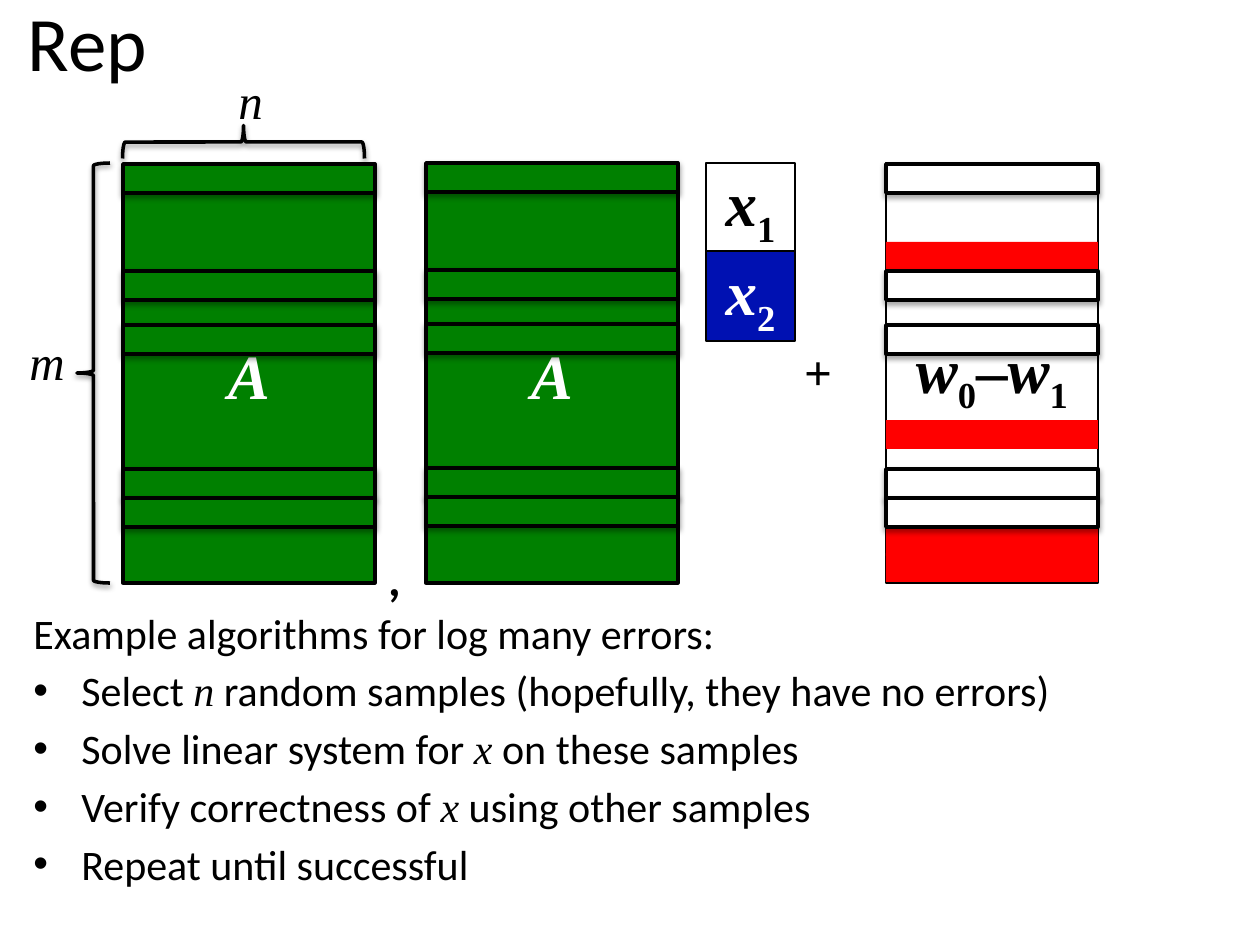
from lxml import etree
from pptx import Presentation
from pptx.dml.color import RGBColor
from pptx.enum.shapes import MSO_SHAPE
from pptx.enum.text import MSO_ANCHOR, PP_ALIGN
from pptx.oxml import parse_xml
from pptx.oxml.ns import nsdecls, qn
from pptx.util import Emu, Pt

RECT, BRACE = MSO_SHAPE.RECTANGLE, MSO_SHAPE.LEFT_BRACE
MIDDLE, TOP = MSO_ANCHOR.MIDDLE, MSO_ANCHOR.TOP
LEFT, CENTER = PP_ALIGN.LEFT, PP_ALIGN.CENTER
SCALE = 914400 // 126
SANS, SERIF = "Calibri", "Times New Roman"
BLACK, WHITE, GREEN, BLUE, RED = "000000", "FFFFFF", "008000", "0011B2", "FF0000"

BOLD, ITALIC, SUB = "b", "i", "s"
MATRICES = [(123, 165, 252, 418), (426, 165, 252, 418)]
VECTOR = [
    ((706, 163, 89, 88), None, BLACK, "1"),
    ((706, 251, 89, 90), BLUE, WHITE, "2"),
]
NOISE_BOX = (886, 163, 212, 420)
NOISE = [("w", "bi"), ("0", "bs"), ("–", "b"), ("w", "bi"), ("1", "bs")]
ERROR_TOPS = [553, 527, 242, 420]
SAMPLE_TOPS = [164, 271, 325, 469, 498]
SAMPLE_COLUMNS = [(886, 212, 0, WHITE), (426, 252, -1, GREEN), (123, 252, 0, GREEN)]
STRIP = 29
SIGNS = [(",", (375, 541, 39, 72), SANS), ("+", (791, 335, 54, 72), SERIF)]
DIMENSIONS = [
    ("m", (77, 163, 33, 420), 0, (8, 325, 78, 72)),
    ("n", (227, 21, 33, 242), 90, (217, 64, 67, 72)),
]
TITLE = "Rep"
LEAD = "Example algorithms for log many errors:"
STEPS = [
    [("Select ", ""), ("n", ITALIC), (" random samples (hopefully, they have no errors)", "")],
    [("Solve linear system for ", ""), ("x", ITALIC), (" on these samples", "")],
    [("Verify correctness of ", ""), ("x", ITALIC), (" using other samples", "")],
    [("Repeat until successful", "")],
]


def px(n):
    return Emu(n * SCALE)


def rgb(color):
    return RGBColor.from_string(color)


def add_runs(p, runs, size, color, font=SERIF, align=CENTER):
    p.alignment = align
    for text, style in runs:
        r = p.add_run()
        r.text = text
        f = r.font
        f.size, f.name = Pt(size), SERIF if ITALIC in style else font
        f.bold, f.italic = BOLD in style, ITALIC in style
        f.color.rgb = rgb(color)
        if SUB in style:
            r._r.get_or_add_rPr().set("baseline", "-25000")


def add_shadow(s, alpha, dist):
    s._element.spPr.append(parse_xml(
        f'<a:effectLst {nsdecls("a")}><a:outerShdw blurRad="{Pt(3.1)}" dist="{Pt(dist)}" '
        f'dir="5400000" rotWithShape="0"><a:srgbClr val="{BLACK}">'
        f'<a:alpha val="{alpha * 1000}"/></a:srgbClr></a:outerShdw></a:effectLst>'))


def add_shape(shapes, box, fill=None, line=0, kind=RECT, shadow=None):
    s = shapes.add_shape(kind, *map(px, box))
    if fill:
        s.fill.solid()
        s.fill.fore_color.rgb = rgb(fill)
    else:
        s.fill.background()
    if line:
        s.line.color.rgb = rgb(BLACK)
        s.line.width = Pt(line)
    else:
        s.line.fill.background()
    if shadow:
        add_shadow(s, *shadow)
    else:
        s.shadow.inherit = False
    s.text_frame.vertical_anchor = MIDDLE
    return s


def add_text(shapes, box, wrap=False, anchor=TOP):
    tf = shapes.add_textbox(*map(px, box)).text_frame
    tf.word_wrap, tf.vertical_anchor = wrap, anchor
    return tf


def add_bullet(p):
    pPr = p._p.get_or_add_pPr()
    pPr.set("marL", str(px(48)))
    pPr.set("indent", str(-px(48)))
    etree.SubElement(pPr, qn("a:buFont")).set("typeface", "Arial")
    etree.SubElement(pPr, qn("a:buChar")).set("char", "•")


prs = Presentation()
prs.slide_width, prs.slide_height = px(1260), px(945)
shapes = prs.slides.add_slide(prs.slide_layouts[6]).shapes

for box in MATRICES:
    s = add_shape(shapes, box, GREEN, 2)
    add_runs(s.text_frame.paragraphs[0], [("A", "bi")], 36, WHITE)

tf = add_text(shapes, (21, 601, 1239, 331), wrap=True)
for i, runs in enumerate([[(LEAD, "")]] + STEPS):
    p = tf.add_paragraph() if i else tf.paragraphs[0]
    add_runs(p, runs, 24, BLACK, SANS, LEFT)
    p.space_before = Pt(4.2)
    if i:
        add_bullet(p)

for sign, box, font in SIGNS:
    tf = add_text(shapes, box)
    add_runs(tf.paragraphs[0], [(sign, BOLD)], 28, BLACK, font)

for box, fill, color, index in VECTOR:
    s = add_shape(shapes, box, fill, 1)
    add_runs(s.text_frame.paragraphs[0], [("x", "bi"), (index, "bs")], 36, color)

for name, brace_box, turn, label_box in DIMENSIONS:
    group = shapes.add_group_shape().shapes
    add_shape(group, brace_box, None, 2, BRACE, (38, 1.6)).rotation = turn
    tf = add_text(group, label_box)
    add_runs(tf.paragraphs[0], [(name, ITALIC)], 28, BLACK)

s = add_shape(shapes, NOISE_BOX, None, 1)
add_runs(s.text_frame.paragraphs[0], NOISE, 36, BLACK)
for top in ERROR_TOPS:
    add_shape(shapes, (886, top, 212, STRIP), RED)

for top in SAMPLE_TOPS:
    group = shapes.add_group_shape().shapes
    for left, width, shift, fill in SAMPLE_COLUMNS:
        add_shape(group, (left, top + shift, width, STRIP), fill, 2, shadow=(35, 1.8))

tf = add_text(shapes, (-120, -38, 415, 158), wrap=True, anchor=MIDDLE)
add_runs(tf.paragraphs[0], [(TITLE, "")], 44, BLACK, SANS)

prs.save("out.pptx")
